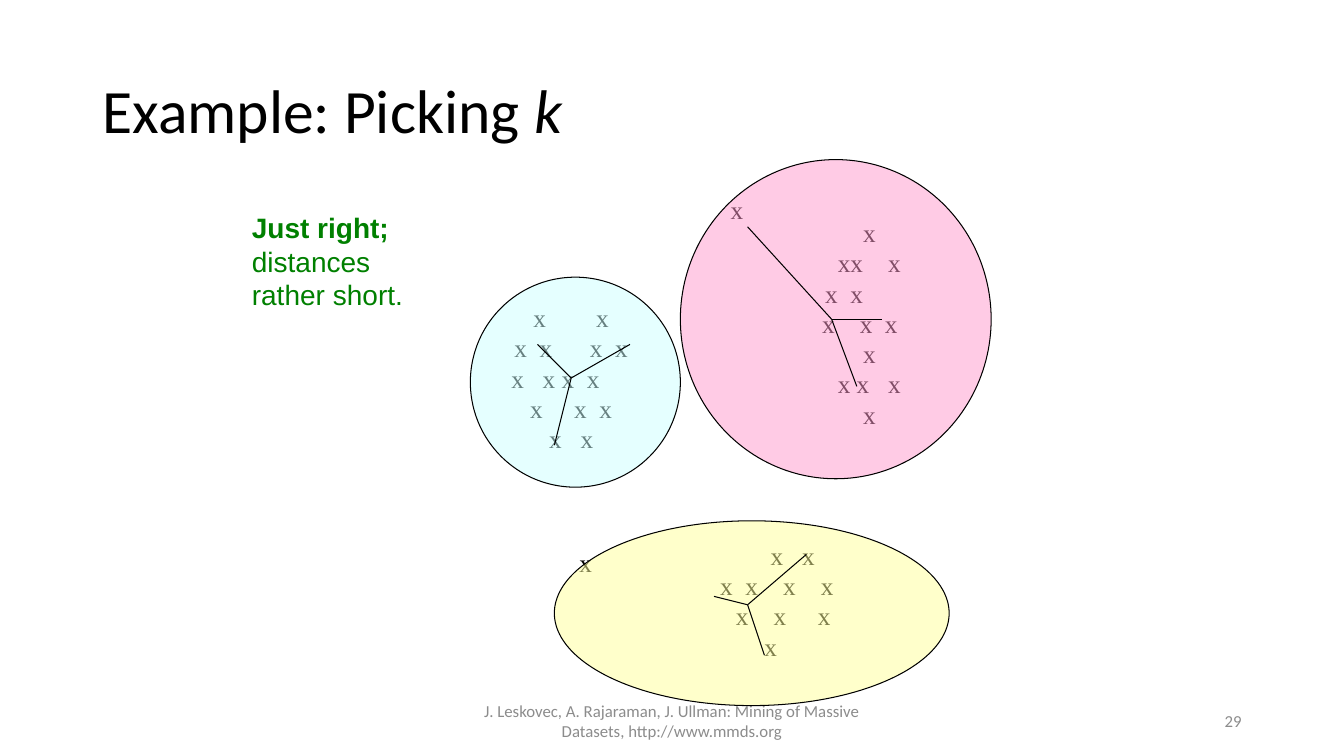
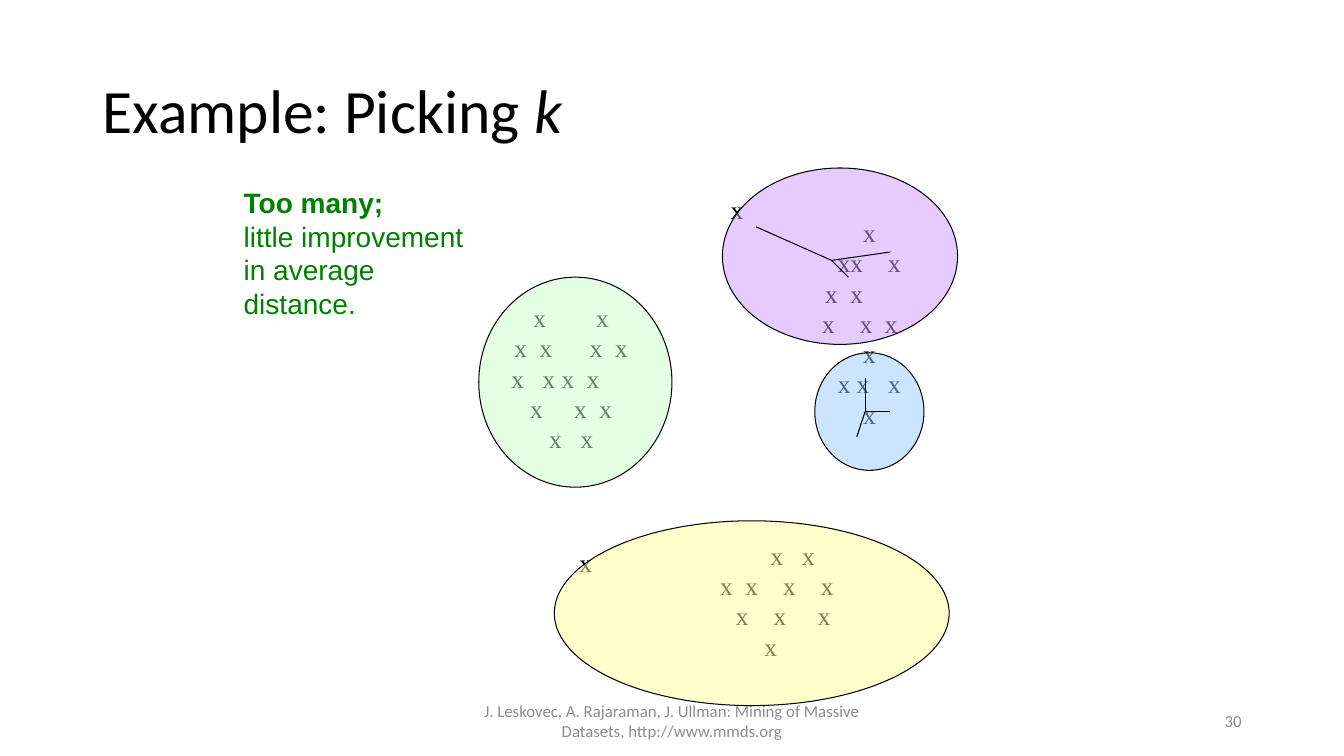
from lxml import etree
from pptx import Presentation
from pptx.dml.color import RGBColor
from pptx.enum.shapes import MSO_CONNECTOR, MSO_SHAPE
from pptx.enum.text import MSO_ANCHOR, MSO_AUTO_SIZE, PP_ALIGN
from pptx.oxml.ns import qn
from pptx.util import Pt

STRAIGHT = MSO_CONNECTOR.STRAIGHT
OVAL = MSO_SHAPE.OVAL
MIDDLE, TOP = MSO_ANCHOR.MIDDLE, MSO_ANCHOR.TOP
LEFT, CENTER, RIGHT = PP_ALIGN.LEFT, PP_ALIGN.CENTER, PP_ALIGN.RIGHT
FIT_SHAPE, NO_FIT = MSO_AUTO_SIZE.SHAPE_TO_FIT_TEXT, MSO_AUTO_SIZE.NONE

BLACK = RGBColor(0x00, 0x00, 0x00)
GREY = RGBColor(0x8C, 0x8C, 0x8C)
GREEN = RGBColor(0x00, 0x80, 0x00)
YELLOW = RGBColor(0xFF, 0xFF, 0x99)
CYAN = RGBColor(0xCC, 0xFF, 0xFF)
PINK = RGBColor(0xFF, 0x99, 0xCC)
MINT = RGBColor(0xCC, 0xFF, 0xCC)
PURPLE = RGBColor(0xCC, 0x99, 0xFF)
BLUE = RGBColor(0x99, 0xCC, 0xFF)

CREDIT = ("J. Leskovec, A. Rajaraman, J. Ullman: Mining of Massive Datasets, "
          "http://www.mmds.org")

POINT_CLOUDS = [
    ((336, 180, 144, 180),
     ["x        x", "x  x      x  x", "x   x x  x     ", "x     x  x", "x   x"]),
    ((552, 120, 138, 222),
     ["x", "xx    x", "x  x        ", "x    x  x   ", "x", "x x   x", "x"]),
    ((480, 366, 150, 126),
     ["     x   x", "x  x    x    x", "  x    x     x", "x  "]),
]
OUTLIERS = [(514.8, 135.4, 24, 29), (406.8, 387.4, 24, 29)]
YELLOW_CLUSTER = ((396, 372, 282, 132), YELLOW)

# Each star is a centroid followed by the ends of its distance lines.
EXAMPLES = [
    dict(number=29,
         note=(172.8, 146.9, 123, 80),
         lines=["Just right;", "distances", "rather short."],
         clusters=[YELLOW_CLUSTER,
                   ((336, 198, 150, 150), CYAN),
                   ((486, 114, 222, 228), PINK)],
         stars=[((408, 270), [(384, 246), (450, 246), (396, 318)]),
                ((534, 432), [(510, 426), (576, 396), (546, 468)]),
                ((594, 228), [(534, 162), (630, 228), (612, 276)])]),
    dict(number=30,
         note=(167, 128.9, 172.8, 104.4),
         lines=["Too many;", "little improvement", "in average", "distance."],
         clusters=[YELLOW_CLUSTER,
                   ((342, 198, 138, 150), MINT),
                   ((516, 120, 168, 126), PURPLE),
                   ((582, 252, 78, 84), BLUE)],
         stars=[((594, 186), [(540, 162), (636, 180), (606, 198)]),
                ((618, 294), [(618, 270), (636, 294), (612, 312)])]),
]


def points(values):
    return [Pt(value) for value in values]


class ClusterDeck:
    """Holds the shared style and the slide being drawn."""

    def __init__(self):
        self.deck = Presentation()
        self.deck.slide_width, self.deck.slide_height = Pt(960), Pt(540)
        self.page = None

    def new_page(self, number):
        self.page = self.deck.slides.add_slide(self.deck.slide_layouts[5])
        self.title()
        self.footer((318, 500.5, 324, 28.8), CREDIT, CENTER)
        self.footer((678, 500.5, 216, 28.8), str(number), RIGHT)

    def span(self, para, text, font, size, color, bold=False, italic=False):
        span = para.add_run()
        span.text = text
        span.font.name, span.font.size = font, Pt(size)
        span.font.bold, span.font.italic = bold, italic
        span.font.color.rgb = color

    def paragraphs(self, frame, lines, font, size, color, align=LEFT,
                   bold_first=False):
        for index, line in enumerate(lines):
            para = frame.add_paragraph() if index else frame.paragraphs[0]
            para.alignment = align
            self.span(para, line, font, size, color, bold_first and index == 0)

    def title(self):
        box = self.page.shapes.title
        box.left, box.top, box.width, box.height = points((66, 28.8, 828, 104.4))
        box.text_frame.vertical_anchor = MIDDLE
        para = box.text_frame.paragraphs[0]
        para.alignment, para.line_spacing = LEFT, 0.9
        self.span(para, "Example: Picking ", "Calibri", 44, BLACK)
        self.span(para, "k", "Calibri", 44, BLACK, italic=True)

    def text_frame(self, area, wrap, anchor=TOP, fit=FIT_SHAPE):
        frame = self.page.shapes.add_textbox(*points(area)).text_frame
        frame.word_wrap, frame.vertical_anchor, frame.auto_size = wrap, anchor, fit
        return frame

    def footer(self, area, text, align):
        frame = self.text_frame(area, True, MIDDLE, NO_FIT)
        self.paragraphs(frame, [text], "Calibri", 12, GREY, align)

    def note(self, area, lines):
        frame = self.text_frame(area, False)
        self.paragraphs(frame, lines, "Arial", 20, GREEN, bold_first=True)

    def outlier(self, area):
        frame = self.text_frame(area, False)
        self.paragraphs(frame, ["x"], "Times New Roman", 18, BLACK)

    def oval(self, area):
        oval = self.page.shapes.add_shape(OVAL, *points(area))
        oval.shadow.inherit = False
        return oval

    def point_cloud(self, area, rows):
        oval = self.oval(area)
        oval.fill.background()
        oval.line.fill.background()
        frame = oval.text_frame
        frame.word_wrap, frame.vertical_anchor = False, MIDDLE
        self.paragraphs(frame, rows, "Times New Roman", 18, BLACK, CENTER)

    def cluster(self, area, color):
        """Draw a half-transparent ellipse over the points it gathers."""
        oval = self.oval(area)
        oval.fill.solid()
        oval.fill.fore_color.rgb = color
        fill_color = oval.element.spPr.find(qn("a:solidFill"))[0]
        etree.SubElement(fill_color, qn("a:alpha"), val="50000")
        self.outline(oval)

    def outline(self, shape):
        shape.line.color.rgb = BLACK
        shape.line.width = Pt(0.75)

    def star(self, centroid, ends):
        """Group the lines that run from a centroid to some of its points."""
        group = self.page.shapes.add_group_shape()
        for end in ends:
            line = group.shapes.add_connector(STRAIGHT, *points(centroid + end))
            self.outline(line)
            etree.SubElement(line.element.spPr, qn("a:effectLst"))


def main():
    show = ClusterDeck()
    for example in EXAMPLES:
        show.new_page(example["number"])
        for area, rows in POINT_CLOUDS:
            show.point_cloud(area, rows)
        for area in OUTLIERS:
            show.outlier(area)
        for area, color in example["clusters"]:
            show.cluster(area, color)
        for centroid, ends in example["stars"]:
            show.star(centroid, ends)
        show.note(example["note"], example["lines"])
    show.deck.save("out.pptx")


if __name__ == "__main__":
    main()
